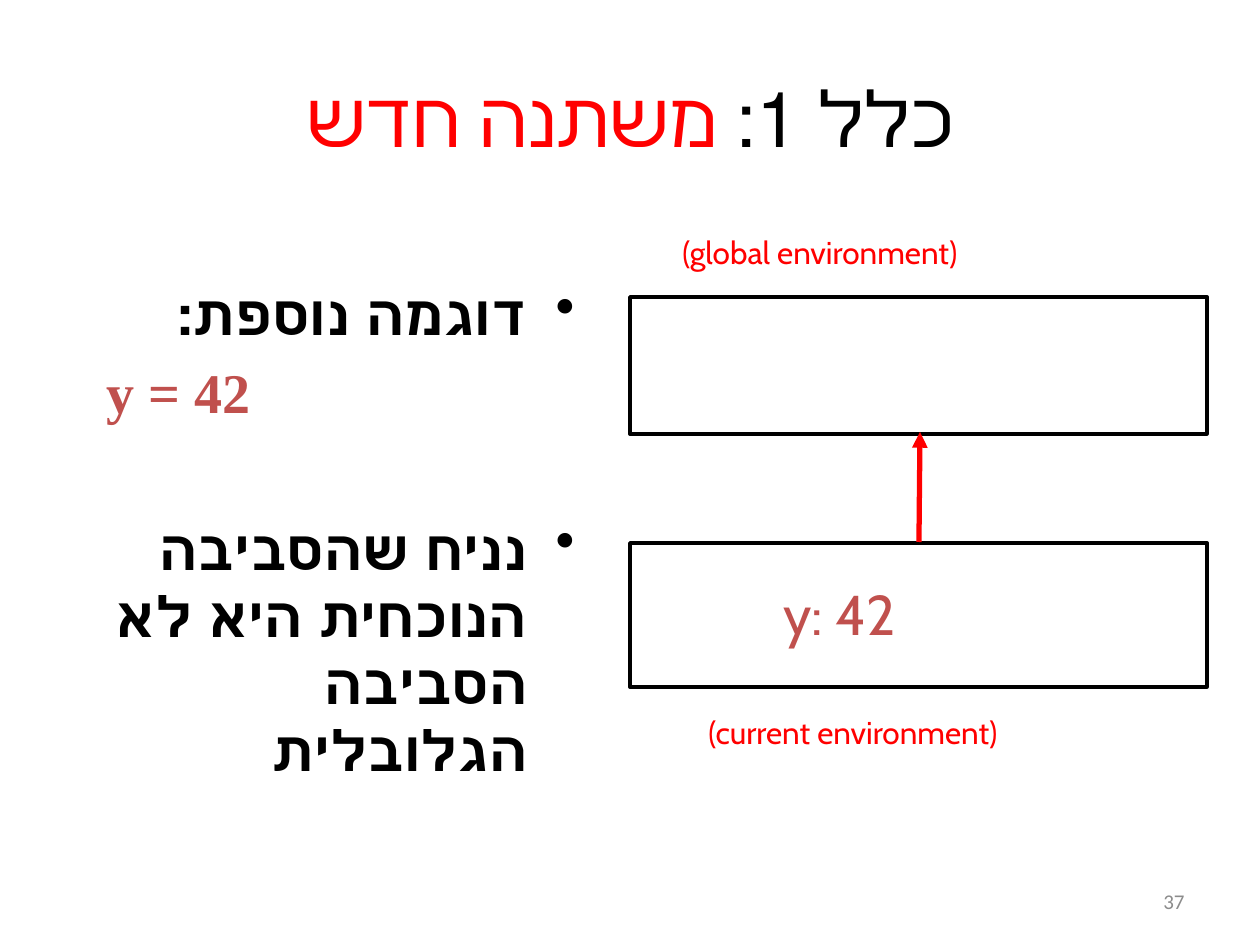
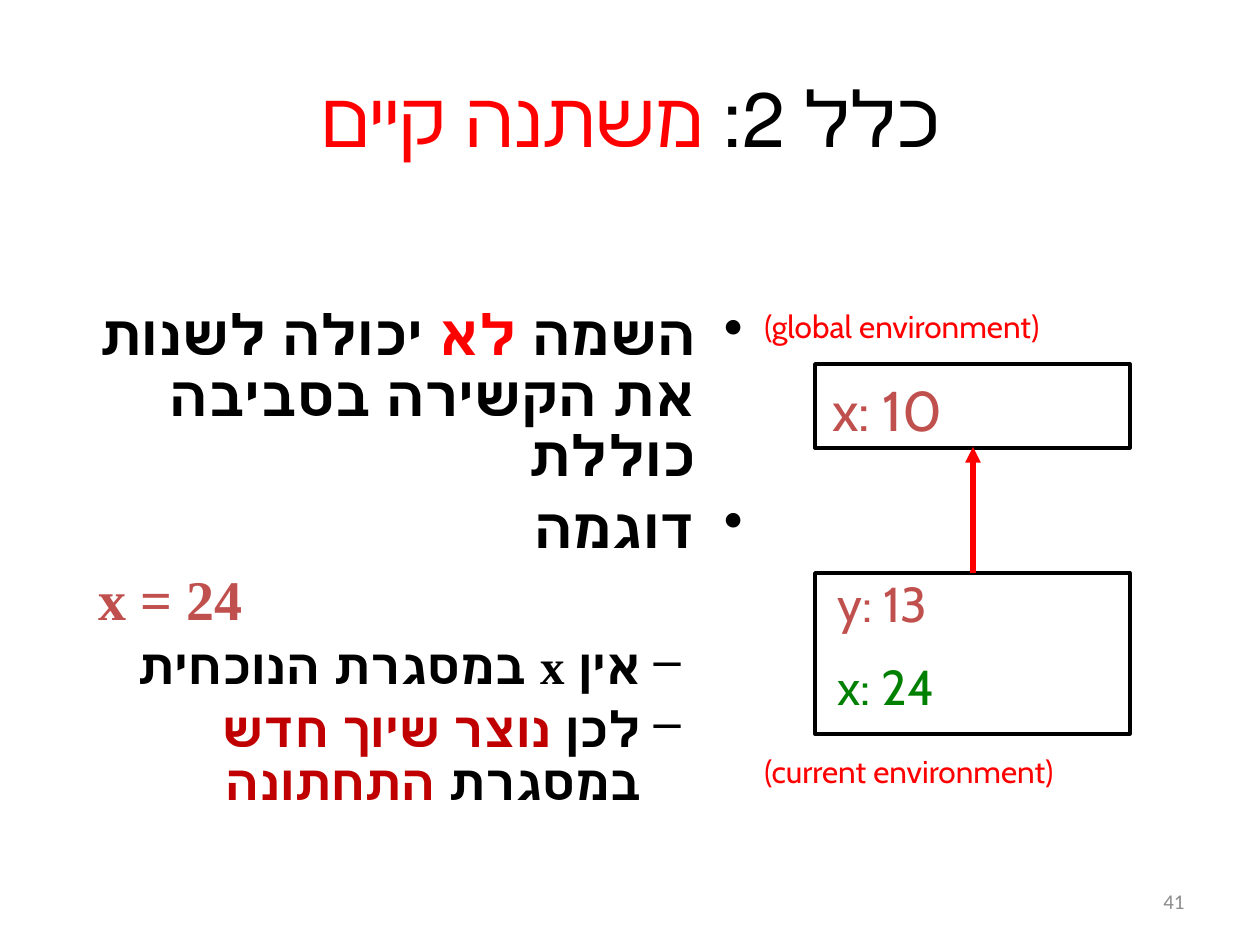
"""Builds two slides on assignment rules, each with a pair of linked environments."""
from dataclasses import dataclass
from typing import Any

from lxml import etree
from pptx import Presentation
from pptx import util as u
from pptx.dml.color import RGBColor
from pptx.enum import shapes, text
from pptx.oxml.ns import qn

SCALE = u.Inches(1) / 126
BLACK = RGBColor(0x00, 0x00, 0x00)
RED = RGBColor(0xFF, 0x00, 0x00)
DARK_RED = RGBColor(0xC0, 0x00, 0x00)
BRICK = RGBColor(0xC0, 0x50, 0x4D)
GREEN = RGBColor(0x00, 0x80, 0x00)
GREY = RGBColor(0x8C, 0x8C, 0x8C)

TITLE_FONT = {"name": "Calibri", "size": u.Pt(44)}
NUMBER_FONT = {"name": "Calibri", "size": u.Pt(12)}
LABEL_FONT = {"name": "Cabin", "size": u.Pt(18)}
BODY_FONT = {"name": "Times New Roman", "bold": True}

TITLE_BOX = (63, 38, 1134, 158)
NUMBER_BOX = (903, 876, 294, 50)
LABEL_SIZE = (441, 63)
VALUE_WIDTH = 294


@dataclass(frozen=True)
class Piece:
    """A stretch of text in one colour."""
    text: str
    color: RGBColor = BLACK


@dataclass(frozen=True)
class Level:
    """The look of a body paragraph; margin and hang are in pixels."""
    size: int
    margin: int
    hang: int = 0
    bullet: str = ""


@dataclass(frozen=True)
class Line:
    """A body paragraph; gap is the space before it in points."""
    level: Level
    pieces: tuple[Piece, ...]
    gap: float = 6.4


@dataclass(frozen=True)
class Values:
    """Variable bindings written inside a frame."""
    left: int
    top: int
    height: int
    size: int
    pieces: tuple[Piece, ...]


@dataclass(frozen=True)
class Environment:
    """A framed environment with its label and bindings."""
    frame: tuple[int, int, int, int]
    label: str
    label_at: tuple[int, int]
    values: Values | None = None


@dataclass(frozen=True)
class Rule:
    """The content of one slide."""
    number: int
    title: tuple[Piece, ...]
    body_box: tuple[int, int, int, int]
    spacing: float
    body: tuple[Line, ...]
    outer: Environment
    inner: Environment
    arrow: tuple[int, int, int, int]


POINT = Level(32, 48, -48, "•")
SUBPOINT = Level(28, 102, -39, "–")
CODE = Level(32, 0)
INSET_CODE = Level(32, 28)

RULES = (
    Rule(
        37,
        (Piece("כלל 1: "), Piece("משתנה חדש", RED)),
        (94, 273, 494, 567),
        1.0,
        (
            Line(POINT, (Piece("דוגמה נוספת:"),)),
            Line(CODE, (Piece("y = 42", BRICK),)),
            Line(POINT, (Piece("נניח שהסביבה הנוכחית היא לא הסביבה הגלובלית"),), 51),
        ),
        Environment((630, 297, 577, 137), "(global environment)", (670, 227)),
        Environment((630, 543, 577, 144), "(current environment)", (696, 707),
                    Values(771, 573, 79, 32, (Piece("y: 42", BRICK),))),
        (919, 542, 920, 432),
    ),
    Rule(
        41,
        (Piece("כלל 2: "), Piece("משתנה קיים", RED)),
        (58, 301, 698, 539),
        0.9,
        (
            Line(POINT, (Piece("השמה"), Piece(" לא ", RED),
                         Piece("יכולה לשנות את הקשירה בסביבה כוללת"))),
            Line(POINT, (Piece("דוגמה"),)),
            Line(INSET_CODE, (Piece("x = 24", BRICK),)),
            Line(SUBPOINT, (Piece("אין x במסגרת הנוכחית"),), 5.6),
            Line(SUBPOINT, (Piece("לכן "), Piece("נוצר שיוך חדש ", DARK_RED),
                            Piece("במסגרת "), Piece("התחתונה", DARK_RED)), 5.6),
        ),
        Environment((815, 364, 315, 84), "(global environment)", (752, 301),
                    Values(820, 369, 81, 32, (Piece("x: 10", BRICK),))),
        Environment((815, 573, 315, 161), "(current environment)", (752, 746),
                    Values(825, 567, 263, 28, (Piece("y: 13", BRICK), Piece("x: 24", GREEN)))),
        (973, 573, 973, 447),
    ),
)


def px(*lengths: float) -> list[u.Emu]:
    """Turn pixels into EMU."""
    return [u.Emu(round(length * SCALE)) for length in lengths]


def apply(target: Any, values: dict[str, Any]) -> None:
    """Set each named attribute on the target."""
    for name, value in values.items():
        setattr(target, name, value)


def add_pieces(paragraph: Any, pieces: tuple[Piece, ...], font: dict[str, Any]) -> None:
    """Append coloured runs that share a font."""
    for piece in pieces:
        run = paragraph.add_run()
        run.text = piece.text
        apply(run.font, font)
        run.font.color.rgb = piece.color


def add_text_frame(slide: Any, box: tuple[int, int, int, int]) -> Any:
    """Add a wrapping text box and return its text frame."""
    frame = slide.shapes.add_textbox(*px(*box)).text_frame
    frame.word_wrap = True
    return frame


def add_paragraph(frame: Any, index: int) -> Any:
    """Return the first paragraph, or a new one after it."""
    return frame.add_paragraph() if index else frame.paragraphs[0]


def set_title(slide: Any, pieces: tuple[Piece, ...]) -> None:
    """Place and fill the title placeholder."""
    title = slide.shapes.title
    apply(title, dict(zip(("left", "top", "width", "height"), px(*TITLE_BOX))))
    title.text_frame.vertical_anchor = text.MSO_ANCHOR.MIDDLE
    paragraph = title.text_frame.paragraphs[0]
    paragraph.alignment = text.PP_ALIGN.CENTER
    paragraph._p.get_or_add_pPr().set("rtl", "1")
    add_pieces(paragraph, pieces, TITLE_FONT)


def add_number(slide: Any, number: int) -> None:
    """Write the slide number at the lower right."""
    frame = add_text_frame(slide, NUMBER_BOX)
    frame.vertical_anchor = text.MSO_ANCHOR.MIDDLE
    frame.paragraphs[0].alignment = text.PP_ALIGN.RIGHT
    add_pieces(frame.paragraphs[0], (Piece(str(number), GREY),), NUMBER_FONT)


def add_body(slide: Any, rule: Rule) -> None:
    """Write the right-to-left points and left-to-right code."""
    frame = add_text_frame(slide, rule.body_box)
    for index, line in enumerate(rule.body):
        level = line.level
        paragraph = add_paragraph(frame, index)
        apply(paragraph, {"line_spacing": rule.spacing, "space_before": u.Pt(line.gap)})
        properties = paragraph._p.get_or_add_pPr()
        margin, hang = px(level.margin, level.hang)
        properties.set("marL", str(margin))
        properties.set("indent", str(hang))
        if level.bullet:
            paragraph.alignment = text.PP_ALIGN.RIGHT
            properties.set("rtl", "1")
            if level is SUBPOINT:
                paragraph.level = 1
            etree.SubElement(properties, qn("a:buChar")).set("char", level.bullet)
        add_pieces(paragraph, line.pieces, BODY_FONT | {"size": u.Pt(level.size)})


def add_environment(slide: Any, environment: Environment) -> None:
    """Draw a frame with its label and bindings."""
    frame = slide.shapes.add_shape(shapes.MSO_SHAPE.RECTANGLE, *px(*environment.frame))
    frame.shadow.inherit = False
    frame.fill.background()
    frame.line.color.rgb = BLACK
    frame.line.width = u.Pt(2)
    label = add_text_frame(slide, environment.label_at + LABEL_SIZE)
    add_pieces(label.paragraphs[0], (Piece(environment.label, RED),), LABEL_FONT)
    values = environment.values
    if values:
        bindings = add_text_frame(slide, (values.left, values.top, VALUE_WIDTH, values.height))
        for index, piece in enumerate(values.pieces):
            paragraph = add_paragraph(bindings, index)
            if index:
                paragraph.space_before = u.Pt(values.size / 2)
            add_pieces(paragraph, (piece,), LABEL_FONT | {"size": u.Pt(values.size)})


def add_arrow(slide: Any, ends: tuple[int, int, int, int]) -> None:
    """Draw the red arrow from the inner to the outer environment."""
    arrow = slide.shapes.add_connector(shapes.MSO_CONNECTOR.STRAIGHT, *px(*ends))
    arrow.line.color.rgb = RED
    arrow.line.width = u.Pt(3)
    etree.SubElement(arrow.line._get_or_add_ln(), qn("a:tailEnd")).set("type", "triangle")
    etree.SubElement(arrow._element.spPr, qn("a:effectLst"))


def add_rule(presentation: Any, rule: Rule) -> None:
    """Add one complete slide."""
    slide = presentation.slides.add_slide(presentation.slide_layouts[5])
    set_title(slide, rule.title)
    add_number(slide, rule.number)
    add_body(slide, rule)
    add_environment(slide, rule.outer)
    add_environment(slide, rule.inner)
    add_arrow(slide, rule.arrow)


def main() -> None:
    """Build and save the presentation."""
    presentation = Presentation()
    apply(presentation, dict(zip(("slide_width", "slide_height"), px(1260, 945))))
    for rule in RULES:
        add_rule(presentation, rule)
    presentation.save("out.pptx")


main()
